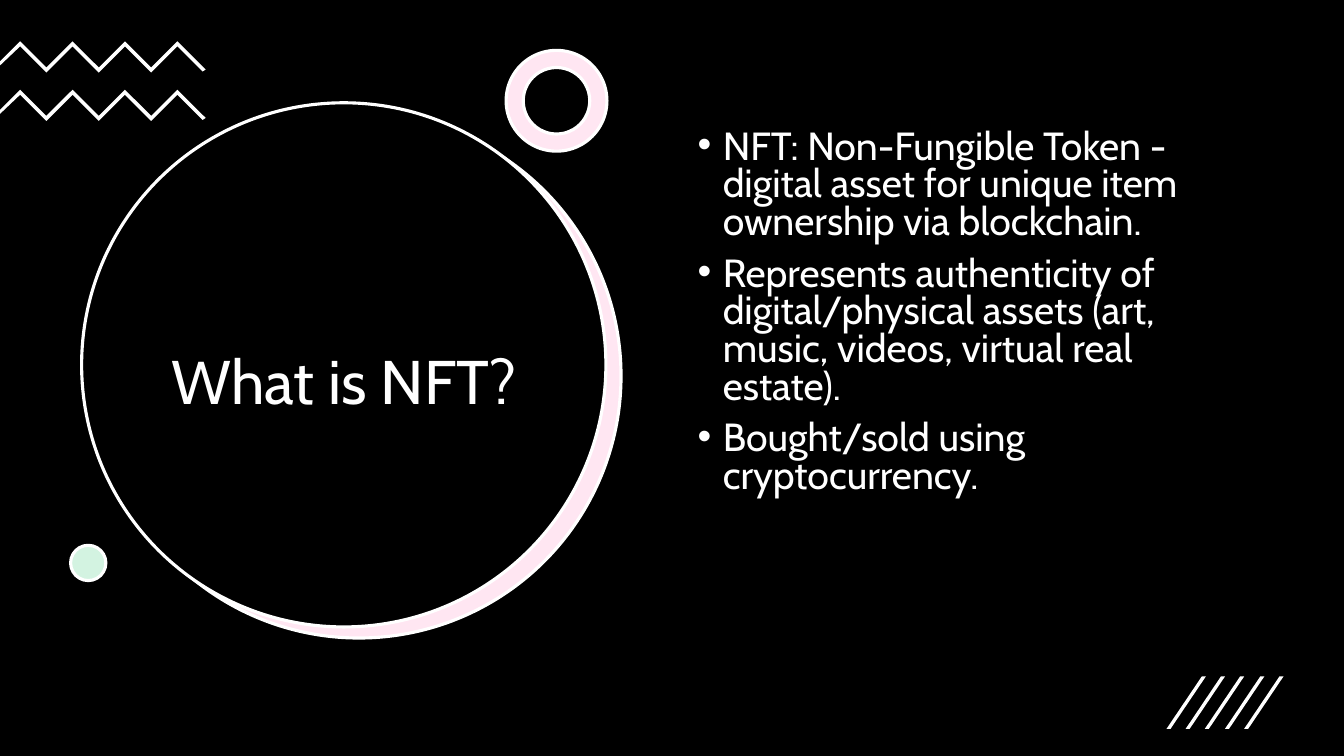
from lxml import etree
from pptx import Presentation
from pptx.dml.color import RGBColor
from pptx.enum.shapes import MSO_SHAPE as SHAPE
from pptx.enum.text import MSO_ANCHOR as ANCHOR, PP_ALIGN as ALIGN
from pptx.oxml.ns import qn
from pptx.util import Pt

PX = 9144  # 100 px to the inch
COLORS = {"black": "000000", "white": "FFFFFF", "pink": "FFE6F2", "mint": "D3F3E1"}
RGB = {name: RGBColor.from_string(value) for name, value in COLORS.items()}

prs = Presentation()
prs.slide_width, prs.slide_height = 1333 * PX, 750 * PX
s = prs.slides.add_slide(prs.slide_layouts[6])
s.background.fill.solid()
s.background.fill.fore_color.rgb = RGB["black"]


def add_polygon(points):
    """Draw a closed white outline without a border."""
    builder = s.shapes.build_freeform(*points[0], scale=PX)
    builder.add_line_segments(points[1:], close=True)
    sp = builder.convert_to_shape()
    sp.shadow.inherit = False
    sp.fill.solid()
    sp.fill.fore_color.rgb = RGB["white"]
    sp.line.fill.background()


def add_text(left, top, width, height, paragraphs, size, spacing):
    tb = s.shapes.add_textbox(left * PX, top * PX, width * PX, height * PX)
    tf = tb.text_frame
    tf.word_wrap = True
    tf.text = "\n".join(paragraphs)
    for p in tf.paragraphs:
        p.font.name = "Cabin"
        p.font.size = Pt(size)
        p.font.color.rgb = RGB["white"]
        p.line_spacing = spacing
    return tf


# Circles and ring
for kind, left, top, size, color in [
    (SHAPE.OVAL, 96, 113, 520, "pink"),
    (SHAPE.OVAL, 81, 102, 520, "black"),
    (SHAPE.DONUT, 502, 50, 100, "pink"),
    (SHAPE.OVAL, 70, 541, 35, "mint"),
]:
    sp = s.shapes.add_shape(kind, left * PX, top * PX, size * PX, size * PX)
    sp.shadow.inherit = False
    sp.fill.solid()
    sp.fill.fore_color.rgb = RGB[color]
    sp.line.color.rgb = RGB["white"]
    sp.line.width = Pt(2.25)
    if kind == SHAPE.DONUT:
        sp.adjustments[0] = 0.17

# Zigzags
turns = [(20 + 26 * i, 26 * (i % 2)) for i in range(7)]
for top in (41, 89):
    upper = [(0, 20), *turns, (204, 28)]
    lower = [(0, 24), *[(x, y + 5) for x, y in turns], (201, 30)]
    add_polygon([(x, top + y) for x, y in upper + lower[::-1]])

# Slanted strokes
for i in range(5):
    left = 1157 + round(19.25 * i)
    add_polygon([(left + 4, 723), (left, 723), (left + 35, 671), (left + 39, 671)])

# Title
title = add_text(121, 205, 441, 352, ["What is NFT?"], 44, 0.9)
title.vertical_anchor = ANCHOR.MIDDLE
title.paragraphs[0].alignment = ALIGN.CENTER

# Bullets
body = add_text(682, 124, 571, 476, [
    "NFT: Non-Fungible Token - digital asset for unique item ownership via blockchain.",
    "Represents authenticity of digital/physical assets (art, music, videos, virtual real estate).",
    "Bought/sold using cryptocurrency.",
], 28, 0.8)
for p in body.paragraphs:
    p.space_before = Pt(10)
    pPr = p._p.get_or_add_pPr()
    pPr.set("marL", str(25 * PX))
    pPr.set("indent", str(-25 * PX))
    bullet_font = etree.Element(qn("a:buFont"), typeface="Arial")
    bullet = etree.Element(qn("a:buChar"), char="•")
    pPr.find(qn("a:defRPr")).addprevious(bullet_font)
    bullet_font.addnext(bullet)

prs.save("out.pptx")
